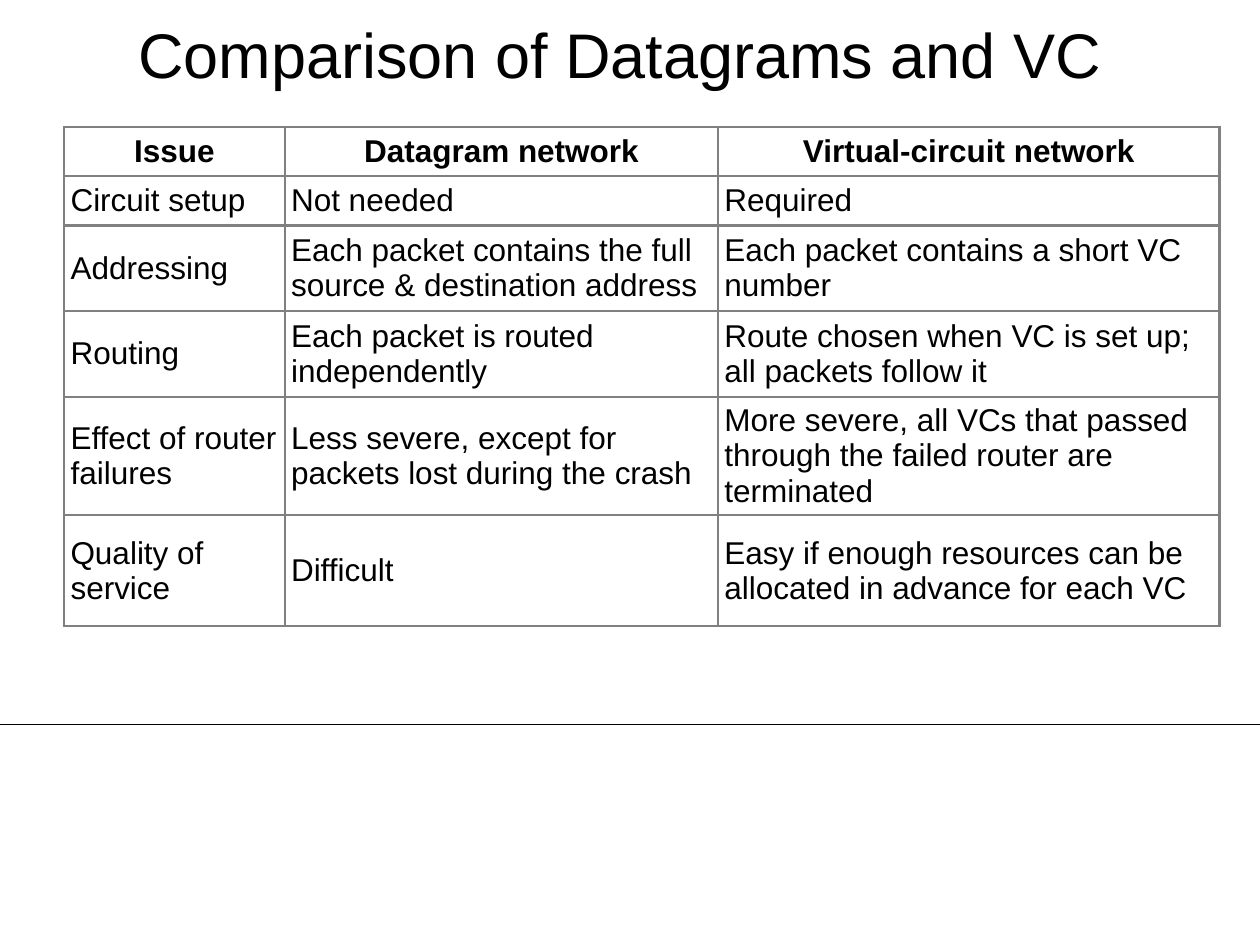
from dataclasses import dataclass
from typing import Any

from lxml.etree import SubElement as Sub
from pptx import Presentation
from pptx.dml.color import RGBColor as Rgb
from pptx.enum.shapes import MSO_CONNECTOR as Link
from pptx.enum.text import MSO_ANCHOR as Anchor, PP_ALIGN as Align
from pptx.oxml.ns import qn
from pptx.util import Inches, Pt

HUES = {"ink": "000000", "edge": "808080"}
WIDTHS = [1.75, 3.44, 3.98]
PAD = Inches(0.05)
CELL = {"vertical_anchor": Anchor.MIDDLE, "margin_left": PAD, "margin_right": PAD,
        "margin_top": PAD, "margin_bottom": PAD}


@dataclass
class Row:
    high: float
    texts: list[str]
    head: bool = False


ROWS = [
    Row(0.39, ["Issue", "Datagram network", "Virtual-circuit network"], True),
    Row(0.39, ["Circuit setup", "Not needed", "Required"]),
    Row(0.68, ["Addressing",
               "Each packet contains the full source & destination address",
               "Each packet contains a short VC number"]),
    Row(0.68, ["Routing",
               "Each packet is routed independently",
               "Route chosen when VC is set up; all packets follow it"]),
    Row(0.94, ["Effect of router failures",
               "Less severe, except for packets lost during the crash",
               "More severe, all VCs that passed through the failed router are terminated"]),
    Row(0.88, ["Quality of service",
               "Difficult",
               "Easy if enough resources can be allocated in advance for each VC"]),
]


def apply(item: Any, form: dict[str, Any]) -> None:
    for key, val in form.items():
        setattr(item, key, val)


def write(frame: Any, text: str, size: int, align: Any, bold: bool = False) -> Any:
    frame.text = text
    para = frame.paragraphs[0]
    para.alignment = align
    font = para.runs[0].font
    apply(font, {"name": "Arial", "size": Pt(size), "bold": bold})
    font.color.rgb = Rgb.from_string(HUES["ink"])
    return para


def frame_cell(cell: Any) -> None:
    props = cell._tc.get_or_add_tcPr()
    for side in ("lnL", "lnR", "lnT", "lnB"):
        line = Sub(props, qn(f"a:{side}"), w=str(Pt(1.5)))
        fill = Sub(line, qn("a:solidFill"))
        Sub(fill, qn("a:srgbClr"), val=HUES["edge"])
    cell.fill.background()


def draw_title(slide: Any, text: str) -> None:
    title = slide.shapes.title
    apply(title, {"left": Inches(0.61), "top": Inches(0.1),
                  "width": Inches(8.62), "height": Inches(0.73)})
    apply(title.text_frame, {"vertical_anchor": Anchor.MIDDLE, "word_wrap": True})
    write(title.text_frame, text, 36, Align.CENTER).line_spacing = 0.9


def draw_rule(slide: Any, top: float) -> None:
    rule = slide.shapes.add_connector(
        Link.STRAIGHT, Inches(0), Inches(top), Inches(10), Inches(top))
    rule.line.width = Pt(0.5)
    rule.line.color.rgb = Rgb.from_string(HUES["ink"])
    Sub(rule._element.spPr, qn("a:effectLst"))


def draw_table(slide: Any, rows: list[Row]) -> None:
    high = sum(row.high for row in rows)
    table = slide.shapes.add_table(
        len(rows), len(WIDTHS), Inches(0.51), Inches(1.01),
        Inches(sum(WIDTHS)), Inches(high)).table
    apply(table, {"first_row": False, "horz_banding": False})
    for col, width in zip(table.columns, WIDTHS):
        col.width = Inches(width)
    for line, row in zip(table.rows, rows):
        line.height = Inches(row.high)
        align = Align.CENTER if row.head else Align.LEFT
        for cell, text in zip(line.cells, row.texts):
            apply(cell, CELL)
            frame_cell(cell)
            write(cell.text_frame, text, 18, align, row.head)


def main() -> None:
    deck = Presentation()
    apply(deck, {"slide_width": Inches(10), "slide_height": Inches(7.5)})
    slide = deck.slides.add_slide(deck.slide_layouts[5])
    draw_rule(slide, 5.75)
    draw_title(slide, "Comparison of Datagrams and VC")
    draw_table(slide, ROWS)
    deck.save("out.pptx")


if __name__ == "__main__":
    main()
